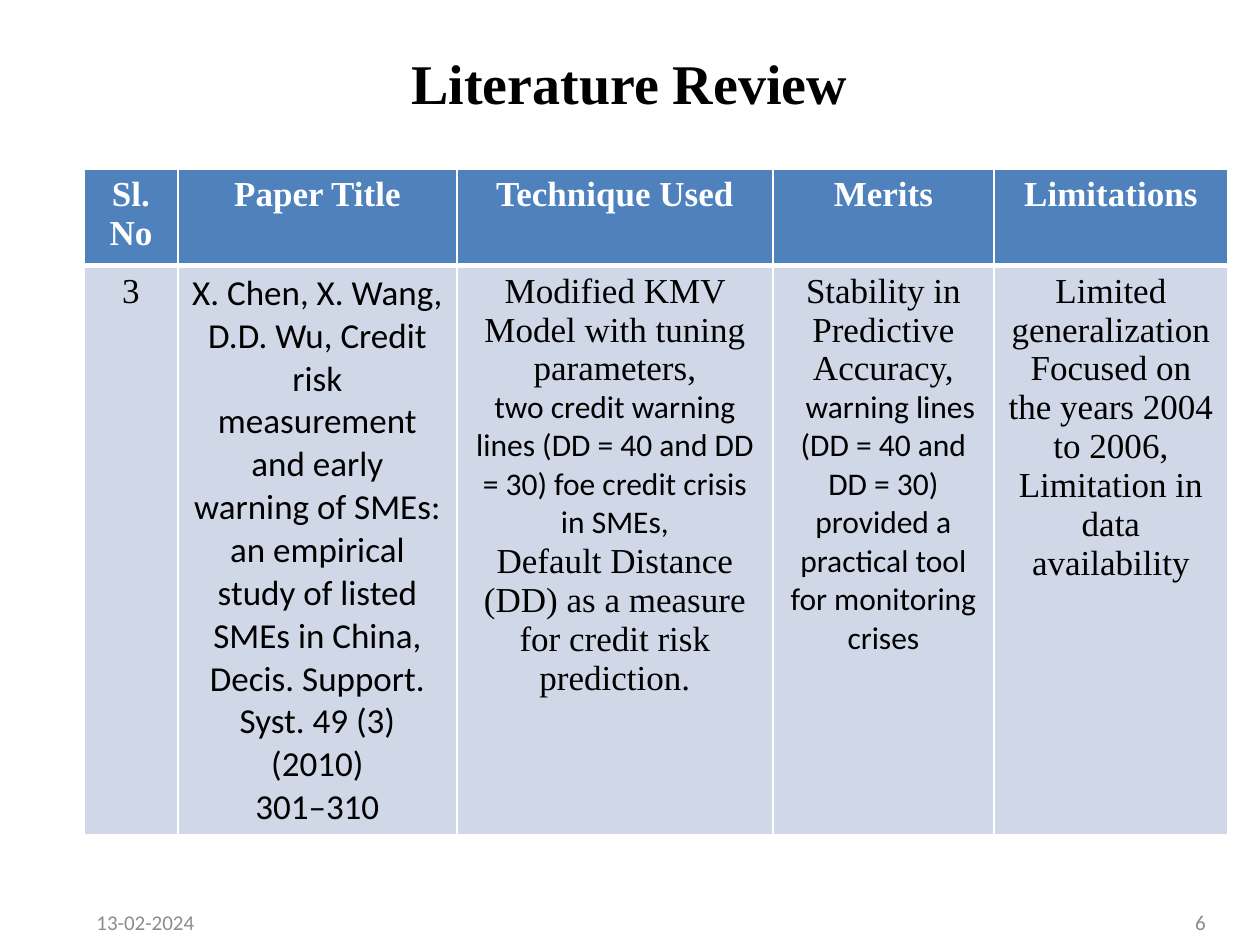
from lxml import etree
from pptx import Presentation
from pptx.dml.color import RGBColor
from pptx.enum.text import MSO_ANCHOR, PP_ALIGN
from pptx.oxml.ns import qn
from pptx.util import Emu, Pt

LEFT, CENTER, RIGHT = PP_ALIGN.LEFT, PP_ALIGN.CENTER, PP_ALIGN.RIGHT
TOP, MIDDLE = MSO_ANCHOR.TOP, MSO_ANCHOR.MIDDLE

SERIF, SANS = "Times New Roman", "Calibri"
BLACK, WHITE, GREY = "000000", "FFFFFF", "8C8C8C"
HEADER_FILL, BODY_FILL = "4F81BD", "D0D8E8"

COLUMN_WIDTHS = [94, 279, 316, 221, 234]
ROW_HEIGHTS = [90, 569]
HEADERS = [["Sl.", "No"], ["Paper Title"], ["Technique Used"], ["Merits"], ["Limitations"]]

SANS_20 = {"font": SANS}
SANS_18 = {"font": SANS, "size": 18}
# Each cell is a list of (paragraph text, format) pairs.
REVIEW = [
    [("3", {})],
    [("X. Chen, X. Wang, D.D. Wu, Credit risk measurement and early warning of SMEs: "
      "an empirical study of listed SMEs in China, Decis. Support. Syst. 49 (3) (2010)", SANS_20),
     ("301–310", SANS_20)],
    [("Modified KMV Model with tuning parameters,", {}),
     ("two credit warning lines (DD = 40 and DD = 30) foe credit crisis in SMEs,", SANS_18),
     ("Default Distance (DD) as a measure for credit risk prediction.", {})],
    [("Stability in Predictive Accuracy,", {}),
     ("warning lines (DD = 40 and DD = 30) provided a practical tool for monitoring crises",
      {**SANS_18, "indent": 14})],
    [("Limited generalization", {}),
     ("Focused on the years 2004 to 2006,", {}),
     ("Limitation in data availability", {})],
]


def px(n):
    """Convert pixels, 126 to the inch, to EMU."""
    return Emu(round(n * 914400 / 126))


def rgb(hex_color):
    return RGBColor.from_string(hex_color)


def write(p, text, font=SERIF, size=20, color=BLACK, bold=False, align=CENTER, indent=0):
    p.alignment = align
    if indent:
        p._p.get_or_add_pPr().set("indent", str(px(indent)))
    r = p.add_run()
    r.text = text
    r.font.name = font
    r.font.size = Pt(size)
    r.font.bold = bold
    r.font.color.rgb = rgb(color)


def add_text(s, text, box, anchor=MIDDLE, **style):
    tf = s.shapes.add_textbox(*map(px, box)).text_frame
    tf.word_wrap = True
    tf.vertical_anchor = anchor
    write(tf.paragraphs[0], text, **style)


def set_borders(cell, **widths):
    """Draw white cell edges; widths are points keyed by L, R, T and B."""
    tcPr = cell._tc.get_or_add_tcPr()
    for i, side in enumerate("LRTB"):
        ln = etree.Element(qn(f"a:ln{side}"), w=str(Pt(widths.get(side, 1))))
        fill = etree.SubElement(ln, qn("a:solidFill"))
        etree.SubElement(fill, qn("a:srgbClr"), val=WHITE)
        tcPr.insert(i, ln)


def fill_cell(cell, paragraphs, fill, **borders):
    cell.fill.solid()
    cell.fill.fore_color.rgb = rgb(fill)
    set_borders(cell, **borders)
    tf = cell.text_frame
    for i, (text, style) in enumerate(paragraphs):
        write(tf.add_paragraph() if i else tf.paragraphs[0], text, **style)


def add_review_table(s, left, top):
    size = px(sum(COLUMN_WIDTHS)), px(sum(ROW_HEIGHTS))
    table = s.shapes.add_table(len(ROW_HEIGHTS), len(COLUMN_WIDTHS),
                               px(left), px(top), *size).table
    for row, height in zip(table.rows, ROW_HEIGHTS):
        row.height = px(height)
    header_style = {"color": WHITE, "bold": True}
    for c, width in enumerate(COLUMN_WIDTHS):
        table.columns[c].width = px(width)
        header = [(text, header_style) for text in HEADERS[c]]
        fill_cell(table.cell(0, c), header, HEADER_FILL, B=3)
        fill_cell(table.cell(1, c), REVIEW[c], BODY_FILL, T=3)


def main():
    prs = Presentation()
    prs.slide_width, prs.slide_height = px(1260), px(945)
    s = prs.slides.add_slide(prs.slide_layouts[6])
    add_text(s, "Literature Review", (113, 42, 1033, 158), anchor=TOP, size=32, bold=True)
    add_review_table(s, 84, 169)
    footer = {"font": SANS, "size": 12, "color": GREY}
    add_text(s, "13-02-2024", (84, 897, 294, 50), align=LEFT, **footer)
    add_text(s, "6", (924, 897, 294, 50), align=RIGHT, **footer)
    prs.save("out.pptx")


if __name__ == "__main__":
    main()
